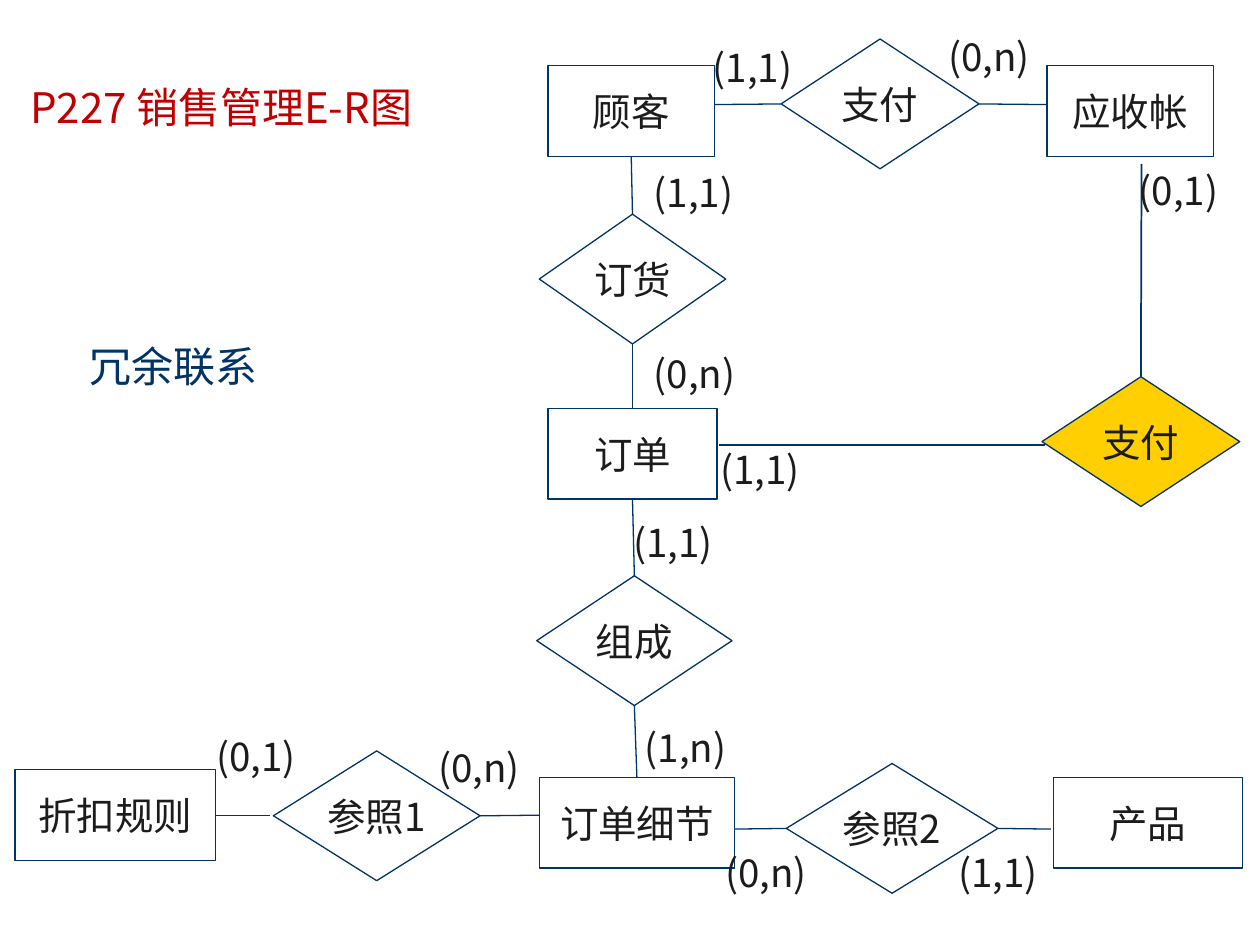
from pptx import Presentation
from pptx.dml.color import RGBColor
from pptx.enum.shapes import MSO_CONNECTOR, MSO_SHAPE
from pptx.enum.text import MSO_ANCHOR, MSO_AUTO_SIZE, PP_ALIGN
from pptx.oxml.ns import qn
from pptx.util import Inches, Pt
from lxml import etree

RECT, GEM = MSO_SHAPE.RECTANGLE, MSO_SHAPE.FLOWCHART_DECISION
LINE = MSO_CONNECTOR.STRAIGHT
TOP, MID = MSO_ANCHOR.TOP, MSO_ANCHOR.MIDDLE
LEFT, MIDDLE = PP_ALIGN.LEFT, PP_ALIGN.CENTER
NORTH, WEST, SOUTH, EAST = range(4)

theme = {
    "font": "Noto Sans CJK SC", "note font": "Roboto",
    "ink": RGBColor.from_string("1C1C1C"),
    "navy": RGBColor.from_string("003366"),
    "red": RGBColor.from_string("C00000"),
    "gold": RGBColor.from_string("FFCF01"),
    "size": Pt(22), "head": Pt(24), "thin": Pt(0.75), "bold": Pt(1),
}

deck = Presentation()
deck.slide_width, deck.slide_height = Inches(10), Inches(7.5)
unit = deck.slide_width / 100
slide = deck.slides.add_slide(deck.slide_layouts[5])
shapes = slide.shapes


def grid(*cells):
    return [round(cell * unit) for cell in cells]


def write(shape, text, size="size", color="ink", font="font",
          align=LEFT, anchor=TOP, wrap=False):
    frame = shape.text_frame
    frame.text = text
    frame.word_wrap = wrap
    frame.auto_size = MSO_AUTO_SIZE.NONE
    frame.vertical_anchor = anchor
    para = frame.paragraphs[0]
    para.alignment = align
    for run in para.runs:
        run.font.size = theme[size]
        run.font.color.rgb = theme[color]
        run.font.name = theme[font]
        east = etree.SubElement(run.font._element, qn("a:ea"))
        east.set("typeface", theme[font])


title = shapes.title
title.left, title.top, title.width, title.height = grid(1.4, 6, 37.4, 5.1)
write(title, "P227 销售管理E-R图", "head", "red", wrap=True)

note = shapes.add_textbox(*grid(2, 26.5, 23.5, 5))
write(note, "冗余联系", "head", "navy", "note font", MIDDLE, wrap=True)

box, gem = 7.2, 10.3
nodes = {
    "buyer": ("顾客", RECT, 43.5, 5.2, 13.2),
    "due": ("应收帐", RECT, 83.1, 5.2, 13.2),
    "order": ("订单", RECT, 43.5, 32.4, 13.4),
    "detail": ("订单细节", RECT, 42.8, 61.7, 15.5),
    "goods": ("产品", RECT, 83.6, 61.7, 15),
    "rule": ("折扣规则", RECT, 1.2, 61.1, 15.9),
    "pay": ("支付", GEM, 62, 3.1, 15.7),
    "book": ("订货", GEM, 42.8, 17, 14.8),
    "form": ("组成", GEM, 42.6, 45.7, 15.5),
    "refer 1": ("参照1", GEM, 21.7, 59.6, 16.4),
    "refer 2": ("参照2", GEM, 62.4, 60.6, 16.8),
    "extra": ("支付", GEM, 82.7, 29.9, 15.7),
}
drawn = {}
for key, (text, kind, x, y, wide) in nodes.items():
    node = shapes.add_shape(kind, *grid(x, y, wide, box if kind == RECT else gem))
    node.shadow.inherit = False
    node.fill.background()
    node.line.color.rgb = theme["navy"]
    node.line.width = theme["thin"]
    write(node, text, align=MIDDLE, anchor=MID)
    drawn[key] = node
drawn["extra"].fill.solid()
drawn["extra"].fill.fore_color.rgb = theme["gold"]

links = [
    ((21.4, 64.7), ("rule", EAST), "thin"),
    (("refer 1", EAST), (42.8, 64.7), "thin"),
    (("refer 2", WEST), (58.3, 65.8), "thin"),
    (("refer 2", EAST), (83.4, 65.8), "thin"),
    (("form", SOUTH), ("detail", NORTH), "thin"),
    (("form", NORTH), ("order", SOUTH), "thin"),
    (("book", SOUTH), ("order", NORTH), "thin"),
    (("book", NORTH), ("buyer", SOUTH), "thin"),
    (("pay", WEST), (56.7, 8.3), "thin"),
    (("pay", EAST), (83.1, 8.3), "thin"),
    ((57.1, 35.3), (82.9, 35.3), "bold"),
    ((90.6, 13), ("extra", NORTH), "bold"),
]
for start, end, weight in links:
    spots = [(0, 0) if spot[0] in drawn else spot for spot in (start, end)]
    link = shapes.add_connector(LINE, *grid(*spots[0], *spots[1]))
    for spot, join in ((start, link.begin_connect), (end, link.end_connect)):
        if spot[0] in drawn:
            join(drawn[spot[0]], spot[1])
    link.line.color.rgb = theme["navy"]
    link.line.width = theme[weight]
    etree.SubElement(link._element.spPr, qn("a:effectLst"))

counts = [
    ("(1,1)", 55.6, 3), ("(0,n)", 74.3, 2.1),
    ("(1,1)", 50.9, 12.9), ("(0,n)", 50.9, 27.3),
    ("(1,1)", 49.3, 40.7), ("(1,n)", 50.2, 57),
    ("(0,1)", 16.2, 57.7), ("(0,n)", 33.8, 58.6),
    ("(0,n)", 56.6, 66.9), ("(1,1)", 75.1, 66.9),
    ("(1,1)", 56.2, 34.9), ("(0,1)", 89.4, 12.8),
]
for text, x, y in counts:
    write(shapes.add_textbox(*grid(x, y, 8.5, 4.7)), text)

deck.save("out.pptx")
